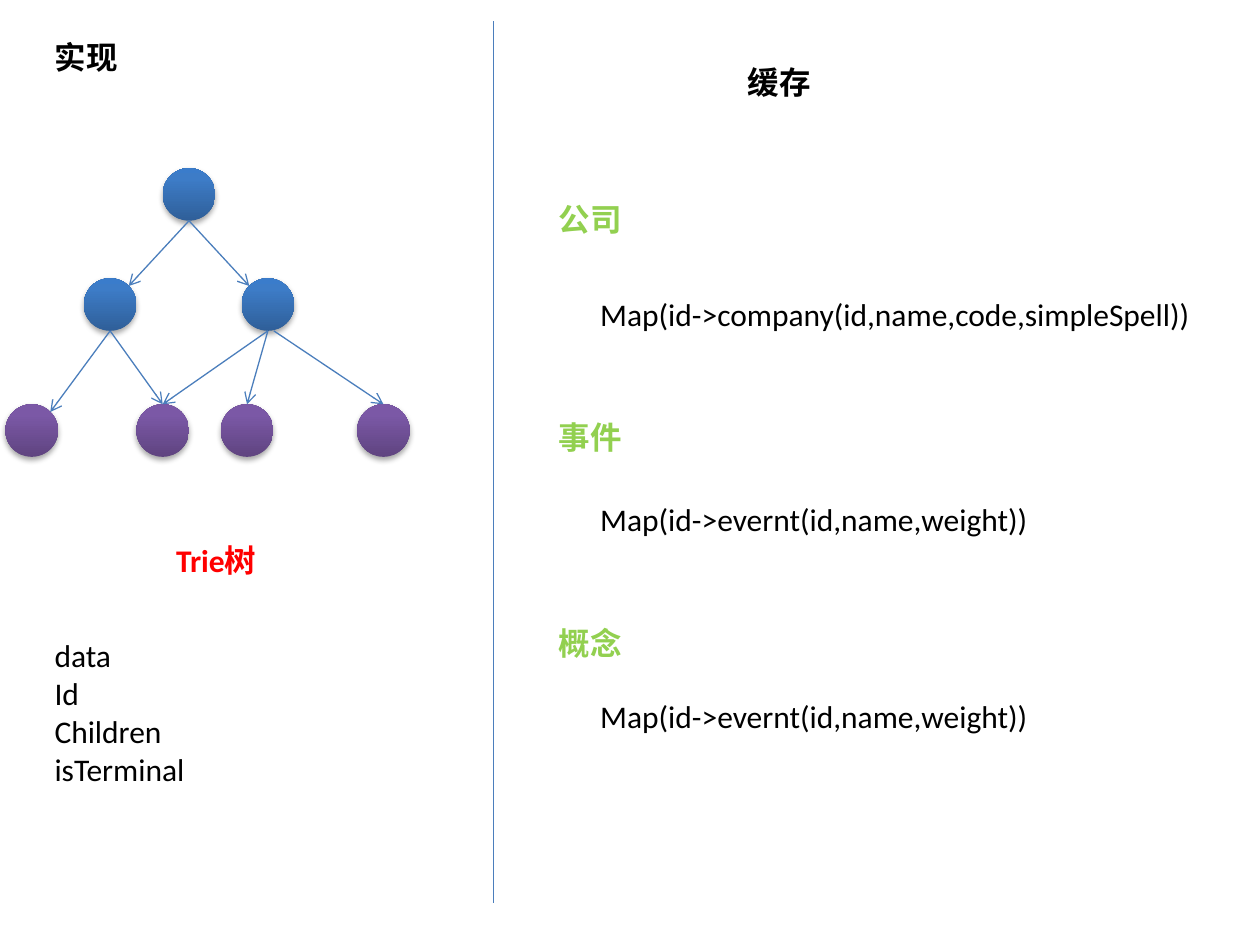
from math import sqrt

from pptx import Presentation
from pptx.dml.color import RGBColor
from pptx.enum.shapes import MSO_CONNECTOR as Link, MSO_SHAPE as Preset
from pptx.enum.text import MSO_AUTO_SIZE as AutoSize
from pptx.oxml import parse_xml
from pptx.oxml.ns import nsdecls
from pptx.util import Cm, Pt

COLORS = {
    "text": "000000",
    "trie": "FF0000",
    "heading": "92D050",
    "line": "4B7EBC",
}
GRADIENTS = {
    "inner": {0: "2F5F99", 80: "3D7CC7", 100: "3A7CCB"},
    "leaf": {0: "5F4480", 80: "7B58A6", 100: "7C57A8"},
}
RADIUS = 0.53
DIAGONAL = RADIUS / sqrt(2)
ARROW_ENDS = {
    "top": (0, -RADIUS),
    "top_left": (-DIAGONAL, -DIAGONAL),
    "top_right": (DIAGONAL, -DIAGONAL),
}
NODES = {
    "root": (3.81, 3.92, "inner"),
    "left": (2.22, 6.14, "inner"),
    "right": (5.4, 6.14, "inner"),
    "leaf_1": (0.64, 8.68, "leaf"),
    "leaf_2": (3.28, 8.68, "leaf"),
    "leaf_3": (4.98, 8.68, "leaf"),
    "leaf_4": (7.73, 8.68, "leaf"),
}
EDGES = [
    ("root", "left", "top_right", 0),
    ("root", "right", "top_left", 0),
    ("left", "leaf_1", "top_right", 0),
    ("left", "leaf_2", "top", 0),
    ("right", "leaf_3", "top", 0),
    ("right", "leaf_4", "top", 0.12),
    ("right", "leaf_2", "top", 0),
]
CACHES = [
    ("公司", 3.91, "Map(id->company(id,name,code,simpleSpell))", 5.82, 13.55),
    ("事件", 8.31, "Map(id->evernt(id,name,weight))", 9.96, 12.27),
    ("概念", 12.45, "Map(id->evernt(id,name,weight))", 13.92, 12.27),
]


def add_text(slide, lines, left, top, width, color="text", bold=False):
    height = 0.25 + 0.77 * len(lines)
    box = slide.shapes.add_textbox(Cm(left), Cm(top), Cm(width), Cm(height))
    frame = box.text_frame
    frame.word_wrap = True
    frame.auto_size = AutoSize.SHAPE_TO_FIT_TEXT
    frame.text = "\n".join(lines)
    for para in frame.paragraphs:
        para.font.name = "Calibri"
        para.font.size = Pt(18)
        para.font.bold = bold
        para.font.color.rgb = RGBColor.from_string(COLORS[color])


def add_node(slide, x, y, kind):
    node = slide.shapes.add_shape(
        Preset.OVAL, Cm(x - RADIUS), Cm(y - RADIUS), Cm(2 * RADIUS), Cm(2 * RADIUS))
    node.line.fill.background()
    stops = "".join(
        f'<a:gs pos="{place * 1000}"><a:srgbClr val="{color}"/></a:gs>'
        for place, color in GRADIENTS[kind].items())
    outline = node.line._get_or_add_ln()
    outline.addprevious(parse_xml(
        f'<a:gradFill {nsdecls("a")} rotWithShape="1"><a:gsLst>{stops}</a:gsLst>'
        '<a:lin ang="16200000" scaled="0"/></a:gradFill>'))
    outline.addnext(parse_xml(
        f'<a:effectLst {nsdecls("a")}>'
        '<a:outerShdw blurRad="40000" dist="23000" dir="5400000" rotWithShape="0">'
        '<a:srgbClr val="000000"><a:alpha val="35000"/></a:srgbClr>'
        '</a:outerShdw></a:effectLst>'))


def add_line(slide, start, end, arrow=False):
    line = slide.shapes.add_connector(
        Link.STRAIGHT, *(Cm(value) for value in (*start, *end)))
    line.line.color.rgb = RGBColor.from_string(COLORS["line"])
    line.line.width = Pt(0.75)
    outline = line.line._get_or_add_ln()
    if arrow:
        outline.append(parse_xml(f'<a:tailEnd {nsdecls("a")} type="arrow"/>'))
    outline.addnext(parse_xml(f'<a:effectLst {nsdecls("a")}/>'))


def add_tree(slide):
    for x, y, kind in NODES.values():
        add_node(slide, x, y, kind)
    for parent, child, side, shift in EDGES:
        parent_x, parent_y, _ = NODES[parent]
        child_x, child_y, _ = NODES[child]
        end_x, end_y = ARROW_ENDS[side]
        add_line(slide, (parent_x + shift, parent_y + RADIUS),
                 (child_x + end_x, child_y + end_y), arrow=True)


def main():
    deck = Presentation()
    deck.slide_width, deck.slide_height = Cm(25.4), Cm(19.05)
    page = deck.slides.add_slide(deck.slide_layouts[6])

    add_text(page, ["实现"], 0.85, 0.64, 7.2, bold=True)
    add_tree(page)
    add_text(page, ["Trie树"], 3.3, 10.78, 3.2, "trie", bold=True)
    add_text(page, ["data", "Id", "Children", "isTerminal"], 0.85, 12.7, 8.26)

    add_line(page, (9.95, 0.43), (9.95, 18.21))

    add_text(page, ["缓存"], 14.82, 1.15, 4.87, bold=True)
    for heading, heading_top, mapping, mapping_top, width in CACHES:
        add_text(page, [heading], 11.01, heading_top, 3.81, "heading", bold=True)
        add_text(page, [mapping], 11.85, mapping_top, width)

    deck.save("out.pptx")


main()
